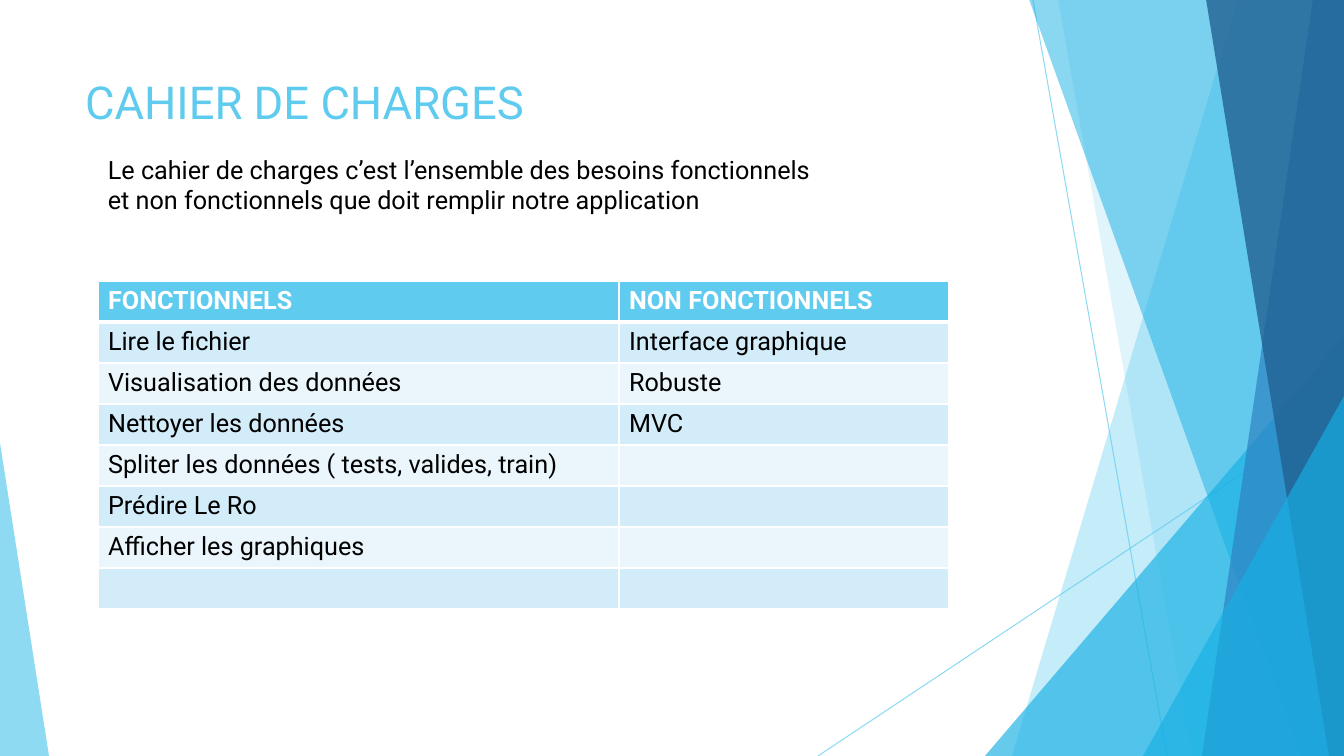
import dataclasses

import pptx
import pptx.dml.color
import pptx.enum.shapes
import pptx.enum.text
import pptx.oxml
import pptx.oxml.ns
import pptx.util

EMU_PER_PX = 12192000 / 1344
WIDTH, HEIGHT = 1344, 756


@dataclasses.dataclass
class Theme:
    font: str = "Roboto"
    sky: str = "5FCBEF"
    azure: str = "17B0E4"
    blue: str = "2E83C3"
    navy: str = "226292"
    white: str = "FFFFFF"
    black: str = "000000"
    bands: tuple = ("EAF6FC", "D2ECF9")
    title_size: float = 32.4
    text_size: float = 18
    hairline: float = 0.75
    grid: float = 1
    header_rule: float = 3


def px(length):
    return pptx.util.Emu(round(length * EMU_PER_PX))


def rgb(code):
    return pptx.dml.color.RGBColor.from_string(code)


def add_element(parent, tag, **attributes):
    element = parent.makeelement(pptx.oxml.ns.qn(tag), attributes)
    parent.append(element)
    return element


def set_opacity(fill_parent, percent):
    """Make the solid colour under fill_parent partly transparent."""
    color = fill_parent.find(".//" + pptx.oxml.ns.qn("a:srgbClr"))
    add_element(color, "a:alpha", val=str(percent * 1000))


class Page:
    def __init__(self, deck, theme):
        self.theme = theme
        self.slide = deck.slides.add_slide(deck.slide_layouts[5])
        self.shapes = self.slide.shapes

    def format_text(self, frame, size, color, bold=False):
        for para in frame.paragraphs:
            para.alignment = pptx.enum.text.PP_ALIGN.LEFT
            for span in para.runs:
                span.font.name = self.theme.font
                span.font.size = pptx.util.Pt(size)
                span.font.bold = bold
                span.font.color.rgb = rgb(color)

    def title(self, text, left, top, width, height):
        box = self.shapes.title
        box.left, box.top, box.width, box.height = map(px, (left, top, width, height))
        frame = box.text_frame
        frame.text = text
        frame.word_wrap = True
        frame.auto_size = pptx.enum.text.MSO_AUTO_SIZE.NONE
        frame.vertical_anchor = pptx.enum.text.MSO_ANCHOR.MIDDLE
        self.format_text(frame, self.theme.title_size, self.theme.sky)

    def text(self, text, left, top, width, height):
        frame = self.shapes.add_textbox(*map(px, (left, top, width, height))).text_frame
        frame.text = text
        frame.word_wrap = True
        self.format_text(frame, self.theme.text_size, self.theme.black)

    def paint(self, shape, color, opacity):
        shape.shadow.inherit = False
        shape.fill.solid()
        shape.fill.fore_color.rgb = rgb(color)
        shape.line.fill.background()
        set_opacity(shape._element.spPr, opacity)

    def line(self, start, end, color, opacity):
        connector = self.shapes.add_connector(
            pptx.enum.shapes.MSO_CONNECTOR.STRAIGHT, *map(px, start + end))
        connector.line.width = pptx.util.Pt(self.theme.hairline)
        connector.line.color.rgb = rgb(color)
        set_opacity(connector._element.spPr, opacity)
        add_element(connector._element.spPr, "a:effectLst")

    def wedge(self, top_x, bottom_x, color, opacity):
        """Fill from a slanted left edge to the right side of the slide."""
        builder = self.shapes.build_freeform(top_x, -1, EMU_PER_PX)
        builder.add_line_segments(
            [(WIDTH, -1), (WIDTH, HEIGHT), (bottom_x, HEIGHT)], close=True)
        self.paint(builder.convert_to_shape(), color, opacity)

    def triangle(self, left, top, width, apex, color, opacity):
        """Stand a triangle on the bottom edge; apex is 0 (left) to 1 (right)."""
        shape = self.shapes.add_shape(
            pptx.enum.shapes.MSO_SHAPE.ISOSCELES_TRIANGLE,
            *map(px, (left, top, width, HEIGHT - top)))
        shape.adjustments[0] = apex
        self.paint(shape, color, opacity)

    def borders(self, cell, top, bottom):
        properties = cell._tc.get_or_add_tcPr()
        grid = self.theme.grid
        sides = {"L": grid, "R": grid, "T": top, "B": bottom}
        for index, (side, points) in enumerate(sides.items()):
            edge = add_element(properties, "a:ln" + side, w=str(pptx.util.Pt(points)))
            add_element(add_element(edge, "a:solidFill"), "a:srgbClr", val=self.theme.white)
            properties.insert(index, edge)

    def table(self, rows, left, top, column_widths, row_height):
        theme = self.theme
        table = self.shapes.add_table(
            len(rows), len(column_widths), px(left), px(top),
            px(sum(column_widths)), px(row_height * len(rows))).table
        for column, width in zip(table.columns, column_widths):
            column.width = px(width)
        for row_index, words in enumerate(rows):
            header = row_index == 0
            fill = theme.sky if header else theme.bands[row_index % 2]
            for cell, word in zip(table.rows[row_index].cells, words):
                cell.text = word
                cell.fill.solid()
                cell.fill.fore_color.rgb = rgb(fill)
                self.format_text(cell.text_frame, theme.text_size,
                                 theme.white if header else theme.black, header)
                self.borders(cell,
                             theme.header_rule if row_index == 1 else theme.grid,
                             theme.header_rule if header else theme.grid)


def main():
    deck = pptx.Presentation()
    deck.slide_width, deck.slide_height = px(WIDTH), px(HEIGHT)
    theme = Theme()
    page = Page(deck, theme)

    page.line((1033, 0), (1167, HEIGHT), theme.sky, 70)
    page.line((WIDTH, 406), (818, HEIGHT), theme.sky, 70)
    page.wedge(1238, 1012, theme.sky, 36)
    page.wedge(1058, 1192, theme.sky, 20)
    page.triangle(985, 336, 359, 1, theme.azure, 66)
    page.wedge(1029, 1301, theme.azure, 50)
    page.wedge(1313, 1202, theme.blue, 70)
    page.wedge(1206, 1329, theme.navy, 80)
    page.triangle(1143, 396, 201, 1, theme.azure, 66)
    page.triangle(0, 443, 49, 0, theme.sky, 70)

    page.title("CAHIER DE CHARGES", 75, 67, 947, 68)
    page.table([
        ("FONCTIONNELS", "NON FONCTIONNELS"),
        ("Lire le fichier", "Interface graphique"),
        ("Visualisation des données", "Robuste"),
        ("Nettoyer les données", "MVC"),
        ("Spliter les données ( tests, valides, train)", ""),
        ("Prédire Le Ro", ""),
        ("Afficher les graphiques", ""),
        ("", ""),
    ], 98, 281, (521, 330), 41)
    page.text("Le cahier de charges c’est l’ensemble des besoins fonctionnels "
              "et non fonctionnels que doit remplir notre application",
              98, 149, 733, 72)

    deck.save("out.pptx")


if __name__ == "__main__":
    main()
